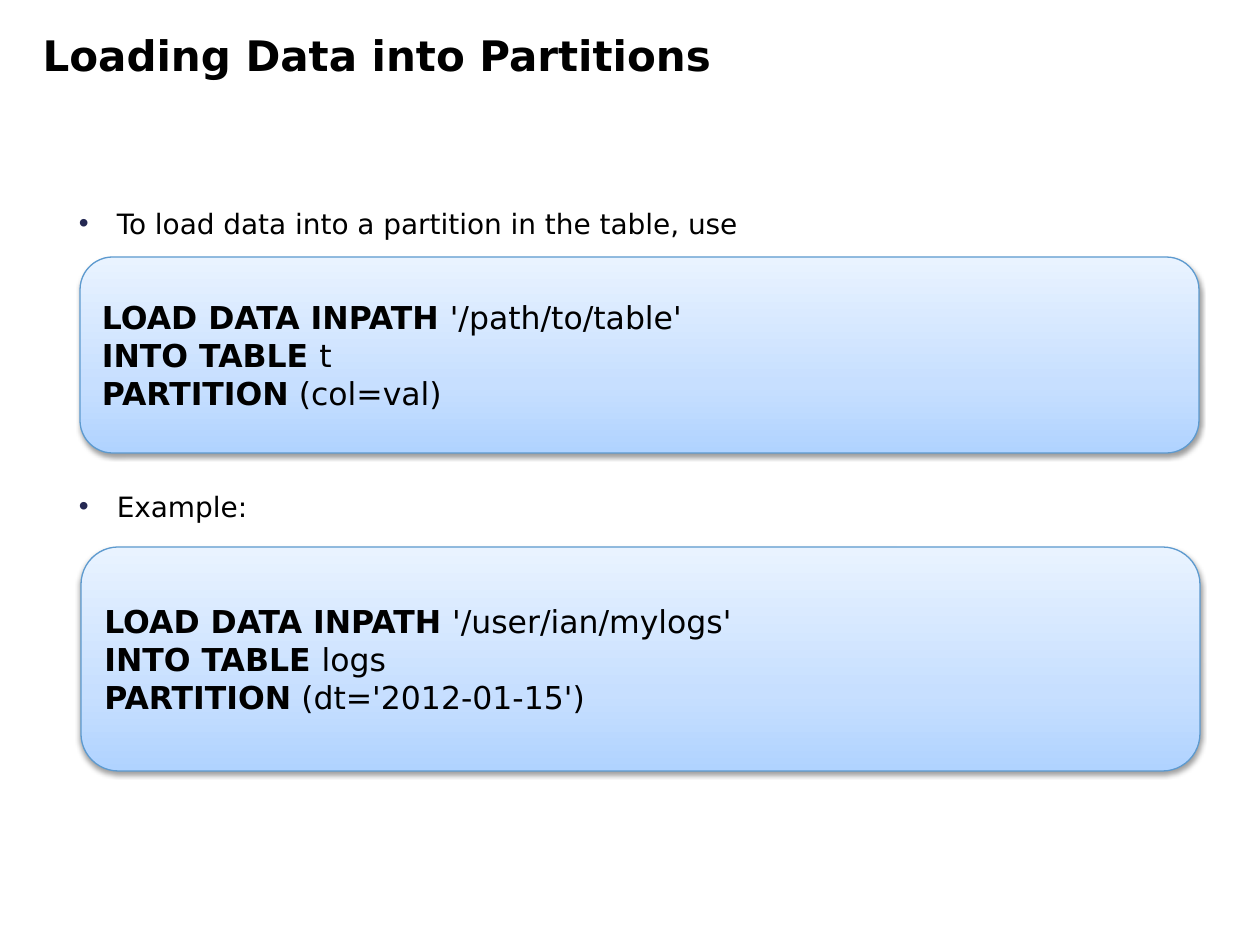
from copy import deepcopy

from lxml import etree
from pptx import Presentation
from pptx import util as u
from pptx.dml.color import RGBColor
from pptx.enum import shapes, text
from pptx.oxml.ns import qn

PX = u.Inches(1) // 126
FONT = "DejaVu Sans"
BLACK = RGBColor(0x00, 0x00, 0x00)
BULLET = RGBColor(0x24, 0x28, 0x52)
OUTLINE = RGBColor(0x5D, 0x9A, 0xCF)
GRADIENT = [
    (0, RGBColor(0xB0, 0xD3, 0xFF)),
    (0.35, RGBColor(0xC7, 0xDF, 0xFF)),
    (1, RGBColor(0xE9, 0xF3, 0xFF)),
]


def set_attributes(target, values):
    for name, value in values.items():
        setattr(target, name, value)


def box(left, top, width, height):
    return [length * PX for length in (left, top, width, height)]


def add_run(paragraph, content, size, bold=False):
    run = paragraph.add_run()
    run.text = content
    set_attributes(run.font, {"name": FONT, "size": u.Pt(size), "bold": bold})
    run.font.color.rgb = BLACK


def add_title(slide, content, bounds):
    title = slide.shapes.title
    set_attributes(title, dict(zip(("left", "top", "width", "height"), box(*bounds))))
    set_attributes(title.text_frame, {
        "vertical_anchor": text.MSO_ANCHOR.TOP,
        "auto_size": text.MSO_AUTO_SIZE.NONE,
        "word_wrap": True,
    })
    paragraph = title.text_frame.paragraphs[0]
    paragraph.alignment = text.PP_ALIGN.LEFT
    add_run(paragraph, content, 24, True)


def add_bullet_mark(paragraph):
    properties = paragraph._p.get_or_add_pPr()
    properties.set("marL", str(u.Inches(0.59)))
    properties.set("indent", str(u.Inches(-0.3)))
    color = etree.SubElement(properties, qn("a:buClr"))
    etree.SubElement(color, qn("a:srgbClr"), val=str(BULLET))
    etree.SubElement(properties, qn("a:buFont"), typeface="Arial")
    etree.SubElement(properties, qn("a:buChar"), char="•")


def add_bullets(slide, bullets, bounds):
    frame = slide.shapes.add_textbox(*box(*bounds)).text_frame
    frame.word_wrap = True
    for index, (content, space_before) in enumerate(bullets):
        paragraph = frame.add_paragraph() if index else frame.paragraphs[0]
        paragraph.space_before = u.Pt(space_before)
        add_bullet_mark(paragraph)
        add_run(paragraph, content, 16)


def fill_gradient(shape):
    shape.fill.gradient()
    shape.fill.gradient_angle = 90
    stop_list = shape._element.spPr.find(".//" + qn("a:gsLst"))
    stop_list.append(deepcopy(stop_list[-1]))
    for stop, (position, color) in zip(shape.fill.gradient_stops, GRADIENT):
        stop.position = position
        stop.color.rgb = color


def add_shadow(shape):
    shape.shadow.inherit = False
    effects = shape._element.spPr.find(qn("a:effectLst"))
    shadow = etree.SubElement(effects, qn("a:outerShdw"), blurRad="40000",
                              dist="20000", dir="5400000", rotWithShape="0")
    color = etree.SubElement(shadow, qn("a:srgbClr"), val=str(BLACK))
    etree.SubElement(color, qn("a:alpha"), val="38000")


def add_code_box(slide, lines, bounds):
    shape = slide.shapes.add_shape(shapes.MSO_SHAPE.ROUNDED_RECTANGLE, *box(*bounds))
    fill_gradient(shape)
    shape.line.color.rgb = OUTLINE
    shape.line.width = u.Pt(0.75)
    add_shadow(shape)
    frame = shape.text_frame
    set_attributes(frame, {"vertical_anchor": text.MSO_ANCHOR.MIDDLE, "word_wrap": True})
    for index, (keyword, argument) in enumerate(lines):
        paragraph = frame.add_paragraph() if index else frame.paragraphs[0]
        paragraph.alignment = text.PP_ALIGN.LEFT
        add_run(paragraph, keyword, 18, True)
        add_run(paragraph, argument, 18)


def main():
    presentation = Presentation()
    set_attributes(presentation, {"slide_width": u.Inches(10), "slide_height": u.Inches(7.5)})
    slide = presentation.slides.add_slide(presentation.slide_layouts[5])
    add_bullets(slide, [
        ("To load data into a partition in the table, use", 3.8),
        ("Example:", 142.5),
    ], (30, 200, 1206, 639))
    add_title(slide, "Loading Data into Partitions", (30, 23, 1206, 132))
    add_code_box(slide, [
        ("LOAD DATA INPATH ", "'/path/to/table'"),
        ("INTO TABLE ", "t"),
        ("PARTITION", " (col=val)"),
    ], (80, 257, 1119, 196))
    add_code_box(slide, [
        ("LOAD DATA INPATH ", "'/user/ian/mylogs'"),
        ("INTO TABLE ", "logs"),
        ("PARTITION", " (dt='2012-01-15')"),
    ], (81, 547, 1119, 224))
    presentation.save("out.pptx")


if __name__ == "__main__":
    main()
